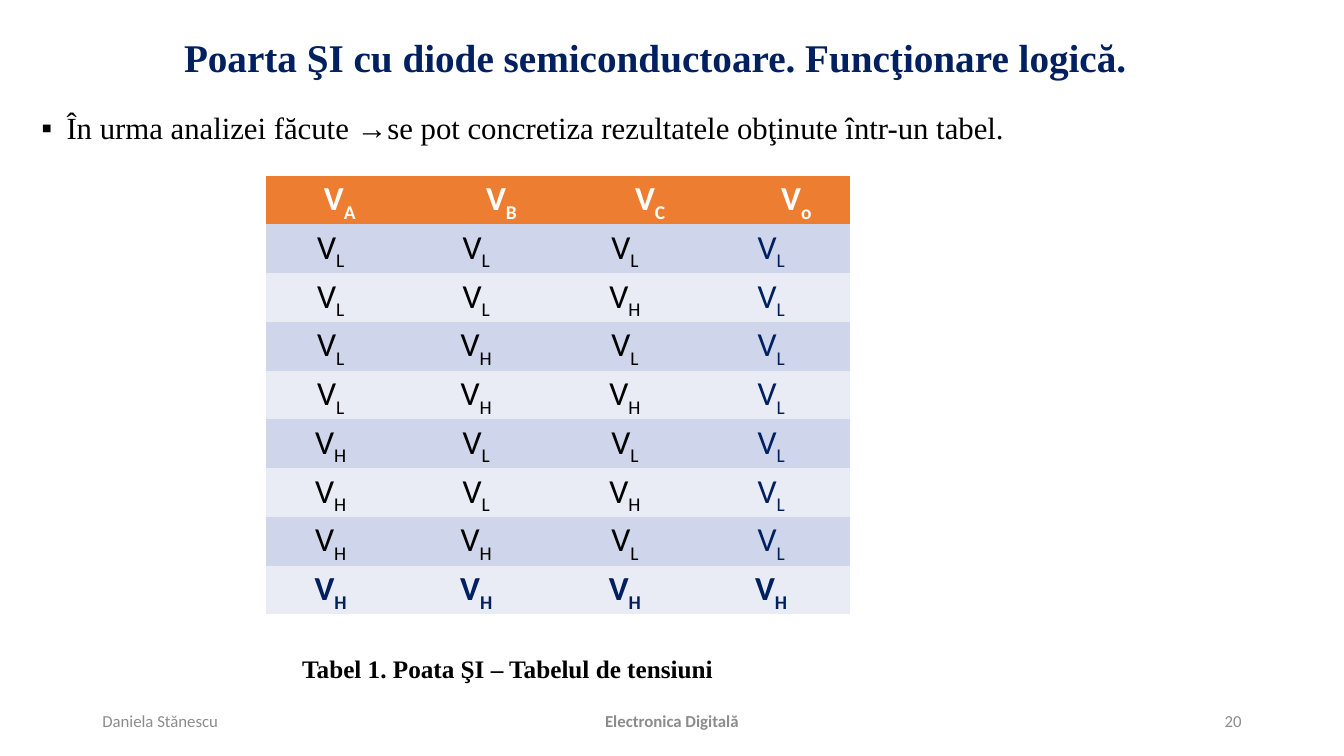
from itertools import product

from lxml.etree import SubElement as Sub
from pptx import Presentation
from pptx.dml.color import RGBColor
from pptx.enum.text import MSO_ANCHOR as Anchor, MSO_AUTO_SIZE as Auto, PP_ALIGN as Align
from pptx.oxml.ns import qn
from pptx.util import Pt

SERIF, SANS = "Times New Roman", "Calibri"
NAVY, BLACK, GRAY, WHITE = "002060", "000000", "8C8C8C", "FFFFFF"
HEAD, BANDS = "ED7D31", ("CFD5EA", "E9EBF5")
PLAIN = "{2D5ABB26-0587-4C30-8999-92F81FD0307C}"


def color(code):
    """Turn a hex string into a color."""
    return RGBColor.from_string(code)


def apply(item, vals):
    """Set each named value on the item."""
    for key, val in vals.items():
        setattr(item, key, val)


def write(para, text, font, form, left=0, hang=0, mark=None, sub=""):
    """Fill a paragraph with text and an optional subscript."""
    props = para._p.get_or_add_pPr()
    props.set("marL", str(Pt(left)))
    props.set("indent", str(Pt(-hang)))
    if mark:
        Sub(props, qn("a:buChar"), char=mark)
    apply(para, {"space_before": Pt(0), **form})
    name, size, tone, bold = font
    for part, base in ((text, 0), (sub, -25000)):
        if part:
            run = para.add_run()
            run.text = part
            apply(run.font, {"name": name, "size": Pt(size), "bold": bold})
            run.font.color.rgb = color(tone)
            if base:
                run._r.get_or_add_rPr().set("baseline", str(base))


def place(shape, box, anchor=Anchor.TOP):
    """Move a text shape into its box and return its first paragraph."""
    apply(shape, dict(zip(("left", "top", "width", "height"), map(Pt, box))))
    frame = shape.text_frame
    apply(frame, {"word_wrap": True, "auto_size": Auto.NONE, "vertical_anchor": anchor})
    return frame.paragraphs[0]


def label(slide, box, anchor=Anchor.TOP):
    """Add a text box and return its first paragraph."""
    return place(slide.shapes.add_textbox(*map(Pt, box)), box, anchor)


def heading(slide, box):
    """Set the title."""
    para = place(slide.shapes.title, box, Anchor.MIDDLE)
    form = {"alignment": Align.CENTER, "line_spacing": 1.07, "space_after": Pt(8)}
    write(para, "Poarta ŞI cu diode semiconductoare. Funcţionare logică.",
          (SERIF, 28, NAVY, True), form, left=36)


def points(slide, box):
    """Set the bullet line."""
    para = place(slide.placeholders[1], box)
    write(para, "În urma analizei făcute →se pot concretiza rezultatele obţinute într-un tabel.",
          (SERIF, 22, BLACK, False), {"line_spacing": 0.9}, left=18, hang=18, mark="▪")


def truth(slide, box):
    """Build the voltage table from all input levels."""
    inputs = list(product("LH", repeat=3))
    rows = ["ABCo"] + [(*row, "H" if set(row) == {"H"} else "L") for row in inputs]
    table = slide.shapes.add_table(len(rows), 4, *map(Pt, box)).table
    table._tbl.tblPr.find(qn("a:tableStyleId")).text = PLAIN
    for col, width in zip(table.columns, (92.3, 115.8, 96.6, 112.3)):
        col.width = Pt(width)
    for i, row in enumerate(rows):
        table.rows[i].height = Pt(33.8 if i else 33.4)
        last = i == len(rows) - 1
        for j, sub in enumerate(row):
            cell = table.cell(i, j)
            apply(cell, {"margin_left": Pt(5.4), "margin_right": Pt(5.4),
                         "margin_top": 0, "margin_bottom": 0})
            cell.fill.solid()
            cell.fill.fore_color.rgb = color(BANDS[(i - 1) % 2] if i else HEAD)
            tone = WHITE if not i else NAVY if last or j == 3 else BLACK
            side = Align.CENTER if i or j else Align.LEFT
            write(cell.text_frame.paragraphs[0], "V", (SANS, 24, tone, not i or last),
                  {"alignment": side, "line_spacing": 1.07}, left=0 if i else 36, sub=sub)


def caption(slide, box):
    """Add the table caption."""
    write(label(slide, box), "Tabel 1. Poata ŞI – Tabelul de tensiuni",
          (SERIF, 18, BLACK, True), {"line_spacing": 1.5}, left=144)


def footer(slide, box):
    """Add author, course and page number along the bottom."""
    x, y, w, h = box
    parts = (
        ("Daniela Stănescu", (x, y + 3.6, 216, 21.6), Align.LEFT, Anchor.TOP, False),
        ("Electronica Digitală", (x + (w - 324) / 2, y, 324, h), Align.CENTER, Anchor.MIDDLE, True),
        ("20", (x + w - 216, y, 216, h), Align.RIGHT, Anchor.MIDDLE, False),
    )
    for text, spot, side, anchor, bold in parts:
        write(label(slide, spot, anchor), text, (SANS, 12, GRAY, bold), {"alignment": side})


def main():
    """Build and save the slide."""
    deck = Presentation()
    apply(deck, {"slide_width": Pt(960), "slide_height": Pt(540)})
    slide = deck.slides.add_slide(deck.slide_layouts[1])
    heading(slide, (77, 14.4, 746, 50.4))
    points(slide, (22.3, 77, 722, 39.6))
    truth(slide, (190, 125.5, 417, 304))
    caption(slide, (64.8, 452, 674.6, 40.3))
    footer(slide, (66, 500.4, 828, 28.8))
    deck.save("out.pptx")


if __name__ == "__main__":
    main()
